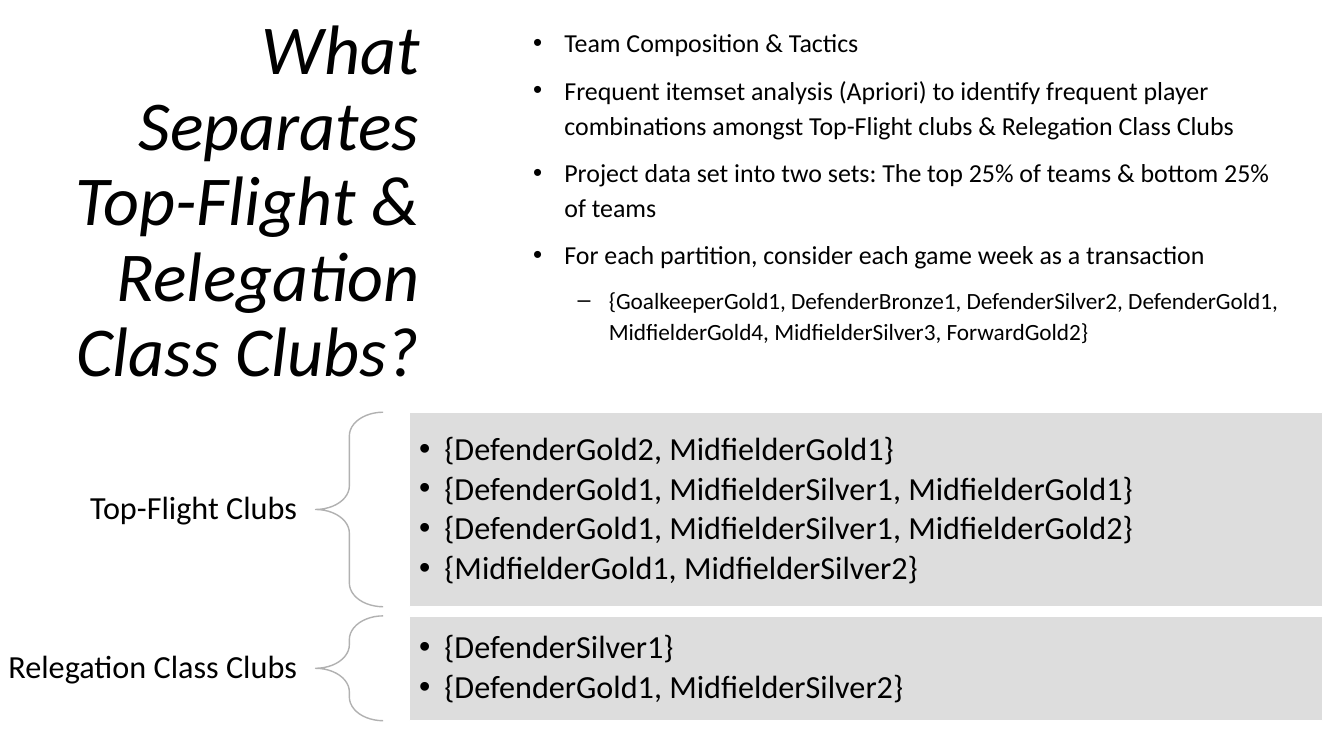
from lxml import etree
from pptx import Presentation
from pptx.dml.color import RGBColor
from pptx.enum.shapes import MSO_SHAPE
from pptx.enum.text import MSO_ANCHOR, PP_ALIGN
from pptx.oxml.ns import qn
from pptx.util import Emu, Inches, Pt

LEFT, RIGHT = PP_ALIGN.LEFT, PP_ALIGN.RIGHT
TOP, MIDDLE = MSO_ANCHOR.TOP, MSO_ANCHOR.MIDDLE
RECTANGLE, LEFT_BRACE = MSO_SHAPE.RECTANGLE, MSO_SHAPE.LEFT_BRACE

TITLE = "What Separates Top-Flight & Relegation Class Clubs?"
METHOD = [
    "Team Composition & Tactics",
    "Frequent itemset analysis (Apriori) to identify frequent player "
    "combinations amongst Top-Flight clubs & Relegation Class Clubs",
    "Project data set into two sets: The top 25% of teams & bottom 25% of teams",
    "For each partition, consider each game week as a transaction",
]
TRANSACTION = (
    "{GoalkeeperGold1, DefenderBronze1, DefenderSilver2, DefenderGold1, "
    "MidfielderGold4, MidfielderSilver3, ForwardGold2}"
)
# Label, top and height in percent of the slide, frequent itemsets
GROUPS = [
    ("Top-Flight Clubs", 54.53, 25.73, [
        "{DefenderGold2, MidfielderGold1}",
        "{DefenderGold1, MidfielderSilver1, MidfielderGold1}",
        "{DefenderGold1, MidfielderSilver1, MidfielderGold2}",
        "{MidfielderGold1, MidfielderSilver2}",
    ]),
    ("Relegation Class Clubs", 81.47, 13.87, [
        "{DefenderSilver1}",
        "{DefenderGold1, MidfielderSilver2}",
    ]),
]


def color(hex_string):
    return RGBColor.from_string(hex_string)


class SlideBuilder:
    """Places styled elements; every box is in percent of the slide's size."""

    font_name = "Calibri"
    text_color = "000000"
    brace_color = "B1B1B1"
    panel_color = "DDDDDD"
    panel_line = "FFFFFF"

    def __init__(self, presentation):
        self.width = presentation.slide_width
        self.height = presentation.slide_height
        self.slide = presentation.slides.add_slide(presentation.slide_layouts[6])

    def place(self, left, top, width, height):
        return (Emu(int(left * self.width / 100)), Emu(int(top * self.height / 100)),
                Emu(int(width * self.width / 100)), Emu(int(height * self.height / 100)))

    def frame(self, shape, anchor=TOP, inset_x=0.1, inset_y=0.05):
        text_frame = shape.text_frame
        text_frame.word_wrap = True
        text_frame.vertical_anchor = anchor
        text_frame.margin_left = text_frame.margin_right = Inches(inset_x)
        text_frame.margin_top = text_frame.margin_bottom = Inches(inset_y)
        return text_frame

    def text_box(self, box, **frame_style):
        return self.frame(self.slide.shapes.add_textbox(*self.place(*box)), **frame_style)

    def paragraph(self, text_frame, text, size, align=LEFT, spacing=0.9,
                  before=0, after=0, bullet=None, indent=0, hanging=0, level=0,
                  italic=False):
        first = not text_frame.text
        paragraph = text_frame.paragraphs[0] if first else text_frame.add_paragraph()
        paragraph.text = text
        paragraph.level = level
        paragraph.alignment = align
        paragraph.line_spacing = spacing
        paragraph.space_before = Pt(0 if first else before)
        paragraph.space_after = Pt(after)
        if bullet:
            properties = paragraph._p.get_or_add_pPr()
            properties.set("marL", str(Inches(indent)))
            properties.set("indent", str(-Inches(hanging)))
            etree.SubElement(properties, qn("a:buFont"), typeface="Arial")
            etree.SubElement(properties, qn("a:buChar"), char=bullet)
        for run in paragraph.runs:
            run.font.name = self.font_name
            run.font.size = Pt(size)
            run.font.italic = italic
            run.font.color.rgb = color(self.text_color)

    def brace(self, box):
        shape = self.slide.shapes.add_shape(LEFT_BRACE, *self.place(*box))
        shape.shadow.inherit = False
        shape.adjustments[0] = 0.35
        shape.fill.background()
        shape.line.color.rgb = color(self.brace_color)
        shape.line.width = Pt(1)

    def panel(self, box, itemsets):
        shape = self.slide.shapes.add_shape(RECTANGLE, *self.place(*box))
        shape.shadow.inherit = False
        shape.fill.solid()
        shape.fill.fore_color.rgb = color(self.panel_color)
        shape.line.color.rgb = color(self.panel_line)
        shape.line.width = Pt(1)
        text_frame = self.frame(shape, MIDDLE, inset_y=0.1)
        for itemset in itemsets:
            self.paragraph(text_frame, itemset, 23, after=3.45,
                           bullet="•", indent=0.25, hanging=0.25)

    def group(self, label, top, height, itemsets):
        text_frame = self.text_box((-1.5, top, 24.98, height),
                                   anchor=MIDDLE, inset_x=0.18, inset_y=0.06)
        self.paragraph(text_frame, label, 23, align=RIGHT)
        self.brace((23.48, top, 5.03, height))
        self.panel((30.45, top, 67.95, height), itemsets)


def main():
    presentation = Presentation()
    presentation.slide_width = Inches(13.33)
    presentation.slide_height = Inches(7.5)
    builder = SlideBuilder(presentation)

    # Title
    title = builder.text_box((0.53, 1.2, 31.43, 52.8))
    builder.paragraph(title, TITLE, 50, align=RIGHT, italic=True)

    # Method bullets
    method = builder.text_box((38.93, 2.4, 58.2, 51.6))
    for text in METHOD:
        builder.paragraph(method, text, 18.5, spacing=1.12, before=9,
                          bullet="•", indent=0.31, hanging=0.31)
    builder.paragraph(method, TRANSACTION, 16.6, spacing=1.12, before=9,
                      bullet="–", indent=0.75, hanging=0.31, level=1)

    # Itemsets of each club group
    for group in GROUPS:
        builder.group(*group)

    presentation.save("out.pptx")


if __name__ == "__main__":
    main()
